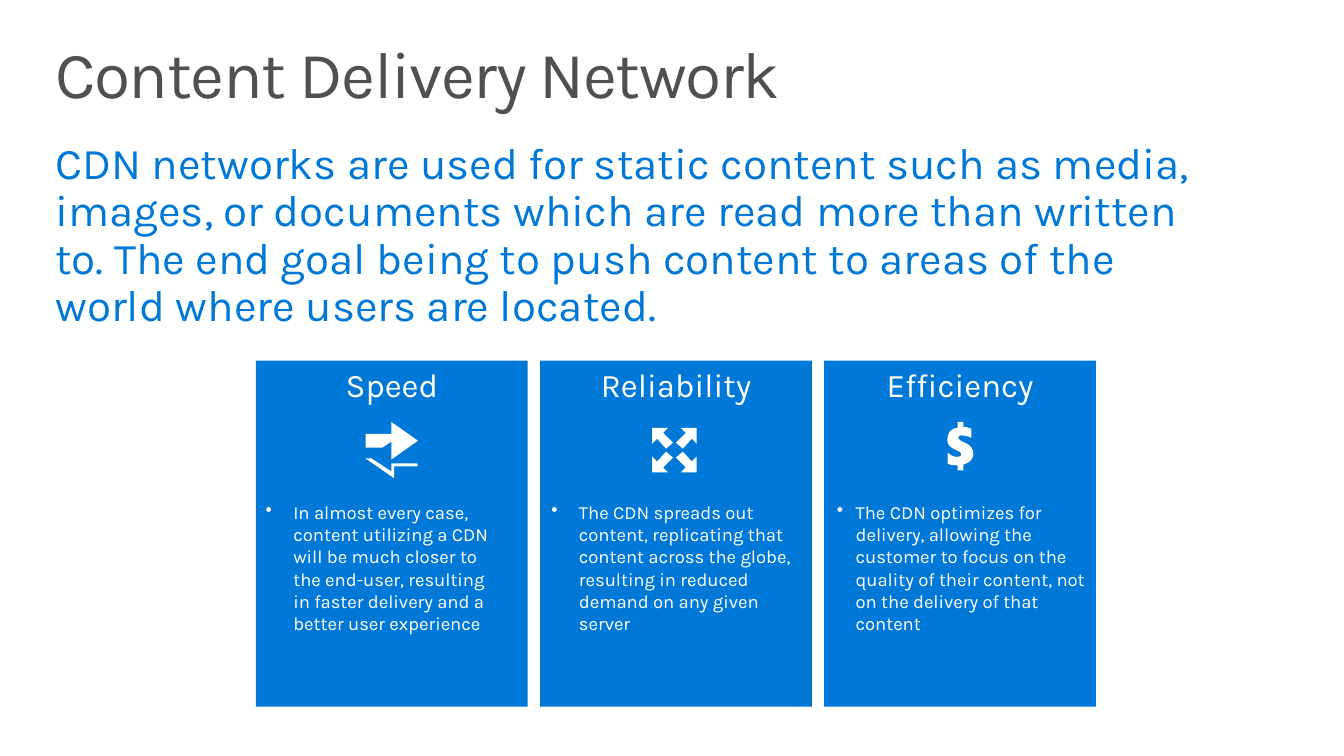
"""Build the Content Delivery Network slide with its three benefit cards."""
from lxml.etree import SubElement
from pptx import Presentation
from pptx.dml.color import RGBColor
from pptx.enum.shapes import MSO_SHAPE
from pptx.enum.text import MSO_ANCHOR, MSO_AUTO_SIZE, PP_ALIGN
from pptx.oxml.ns import qn
from pptx.util import Inches, Pt

FONT = "Karla"
BLUE = RGBColor(0x00, 0x78, 0xD7)
GRAY = RGBColor(0x50, 0x50, 0x50)
WHITE = RGBColor(0xFF, 0xFF, 0xFF)

CARD_LEFT, CARD_TOP, CARD_PITCH = 2.59, 3.65, 2.875
CURVE_STEPS = 8

INTRO = (
    "CDN networks are used for static content such as media, images, or documents "
    "which are read more than written to. The end goal being to push content to "
    "areas of the world where users are located."
)

# Heading, text left, text width, text indent, hanging indent, space after, text
CARDS = [
    ("Speed", 2.59, 2.62, 0.28, 0.28, 0,
     "In almost every case, content utilizing a CDN will be much closer to the "
     "end-user, resulting in faster delivery and a better user experience"),
    ("Reliability", 5.48, 2.75, 0.28, 0.28, 0,
     "The CDN spreads out content, replicating that content across the globe, "
     "resulting in reduced demand on any given server"),
    ("Efficiency", 8.32, 2.77, 0.24, 0.19, 3.1,
     "The CDN optimizes for delivery, allowing the customer to focus on the "
     "quality of their content, not on the delivery of that content"),
]

# Each step is a line end (x, y) or a cubic curve (x1, y1, x2, y2, x, y)
SPEED_ARROWS = [
    [(4.23, 4.46), (3.96, 4.27), (3.96, 4.39), (3.7, 4.39), (3.7, 4.53),
     (3.87, 4.53), (3.96, 4.47), (3.96, 4.65)],
    [(3.76, 4.64), (3.96, 4.77), (3.96, 4.69), (4.22, 4.69),
     (4.23, 4.69, 4.23, 4.72, 4.22, 4.72), (3.99, 4.72), (3.99, 4.84),
     (3.7, 4.64)],
]
CORNER_ARROW = [(6.6, 4.33), (6.6, 4.49), (6.65, 4.44), (6.74, 4.54),
                (6.81, 4.48), (6.71, 4.38), (6.76, 4.33)]
MIRROR_X, MIRROR_Y = 13.65, 9.11
DOLLAR = [
    (9.69, 4.27), (9.75, 4.27), (9.75, 4.32),
    (9.78, 4.32, 9.81, 4.33, 9.83, 4.34), (9.83, 4.43),
    (9.79, 4.41, 9.73, 4.4, 9.71, 4.41),
    (9.69, 4.42, 9.7, 4.44, 9.71, 4.45),
    (9.72, 4.47, 9.86, 4.49, 9.85, 4.6),
    (9.84, 4.67, 9.78, 4.69, 9.75, 4.7), (9.75, 4.76), (9.69, 4.76),
    (9.69, 4.71), (9.65, 4.71, 9.6, 4.7, 9.59, 4.69), (9.59, 4.58),
    (9.62, 4.61, 9.67, 4.63, 9.7, 4.62),
    (9.73, 4.62, 9.73, 4.59, 9.72, 4.58),
    (9.7, 4.55, 9.56, 4.54, 9.59, 4.42),
    (9.6, 4.35, 9.66, 4.33, 9.69, 4.33),
]


def set_font(paragraph, size, color):
    """Apply the slide font to a whole paragraph."""
    paragraph.font.name = FONT
    paragraph.font.size = Pt(size)
    paragraph.font.color.rgb = color


def set_bullet(paragraph, indent=0, hanging=0, character=None):
    """Set the indents of a paragraph and its bullet, or no bullet."""
    properties = paragraph._p.get_or_add_pPr()
    properties.set("marL", str(Inches(indent)))
    properties.set("indent", str(-Inches(hanging)))
    if character:
        SubElement(properties, qn("a:buChar")).set("char", character)
    else:
        SubElement(properties, qn("a:buNone"))


def paint(shape, color):
    """Give a shape a plain fill without line or shadow."""
    shape.fill.solid()
    shape.fill.fore_color.rgb = color
    shape.line.fill.background()
    shape.shadow.inherit = False


def fill_placeholder(placeholder, box, text, size, color):
    """Place a placeholder and write its single paragraph."""
    placeholder.left, placeholder.top, placeholder.width, placeholder.height = map(Inches, box)
    frame = placeholder.text_frame
    frame.text = text
    frame.word_wrap = True
    frame.auto_size = MSO_AUTO_SIZE.NONE
    frame.vertical_anchor = MSO_ANCHOR.TOP
    frame.margin_left = frame.margin_right = Inches(0.16)
    frame.margin_top = frame.margin_bottom = Inches(0.1)
    paragraph = frame.paragraphs[0]
    set_bullet(paragraph)
    paragraph.alignment = PP_ALIGN.LEFT
    paragraph.line_spacing = 0.9
    paragraph.space_before = Pt(0)
    set_font(paragraph, size, color)
    return paragraph


def add_card(slide, left, heading):
    """Add a blue card with its heading at the top."""
    card = slide.shapes.add_shape(
        MSO_SHAPE.RECTANGLE, Inches(left), Inches(CARD_TOP), Inches(2.75), Inches(3.5))
    paint(card, BLUE)
    frame = card.text_frame
    frame.text = heading
    frame.vertical_anchor = MSO_ANCHOR.TOP
    frame.margin_left = frame.margin_right = 0
    frame.margin_top = frame.margin_bottom = Inches(0.04)
    frame.paragraphs[0].alignment = PP_ALIGN.CENTER
    set_font(frame.paragraphs[0], 24, WHITE)


def add_card_text(slide, left, width, indent, hanging, space_after, text):
    """Add the bulleted text of a card."""
    box = slide.shapes.add_textbox(Inches(left), Inches(5.02), Inches(width), Inches(1.46))
    frame = box.text_frame
    frame.text = text
    frame.word_wrap = True
    frame.auto_size = MSO_AUTO_SIZE.SHAPE_TO_FIT_TEXT
    paragraph = frame.paragraphs[0]
    set_bullet(paragraph, indent, hanging, "•")
    paragraph.space_after = Pt(space_after)
    set_font(paragraph, 13.5, WHITE)


def trace(steps):
    """Turn line and curve steps into a list of points."""
    points = []
    for step in steps:
        if len(step) == 2:
            points.append(step)
            continue
        controls = [points[-1], step[:2], step[2:4], step[4:]]
        for index in range(1, CURVE_STEPS + 1):
            t = index / CURVE_STEPS
            weights = ((1 - t) ** 3, 3 * t * (1 - t) ** 2, 3 * t * t * (1 - t), t ** 3)
            points.append(tuple(
                sum(weight * control[axis] for weight, control in zip(weights, controls))
                for axis in (0, 1)))
    return [(Inches(x), Inches(y)) for x, y in points]


def add_icon(slide, contours):
    """Add one white freeform made of closed contours."""
    first, *others = [trace(contour) for contour in contours]
    builder = slide.shapes.build_freeform(*first[0])
    builder.add_line_segments(first[1:], close=True)
    for points in others:
        builder.move_to(*points[0])
        builder.add_line_segments(points[1:], close=True)
    paint(builder.convert_to_shape(), WHITE)


def main():
    """Build and save the slide."""
    presentation = Presentation()
    presentation.slide_width, presentation.slide_height = Inches(13.6), Inches(7.65)
    slide = presentation.slides.add_slide(presentation.slide_layouts[1])
    title = fill_placeholder(
        slide.shapes.title, (0.4, 0.32, 12.8, 1), "Content Delivery Network", 48, GRAY)
    title._p.pPr.find(qn("a:defRPr")).set("spc", "-100")
    fill_placeholder(slide.placeholders[1], (0.4, 1.33, 11.9, 2.14), INTRO, 32, BLUE)

    for index, (heading, *details) in enumerate(CARDS):
        add_card(slide, CARD_LEFT + index * CARD_PITCH, heading)
        add_card_text(slide, *details)

    add_icon(slide, SPEED_ARROWS)
    for flip_y in (False, True):
        for flip_x in (False, True):
            add_icon(slide, [[(MIRROR_X - x if flip_x else x, MIRROR_Y - y if flip_y else y)
                              for x, y in CORNER_ARROW]])
    add_icon(slide, [DOLLAR])
    presentation.save("out.pptx")


if __name__ == "__main__":
    main()
